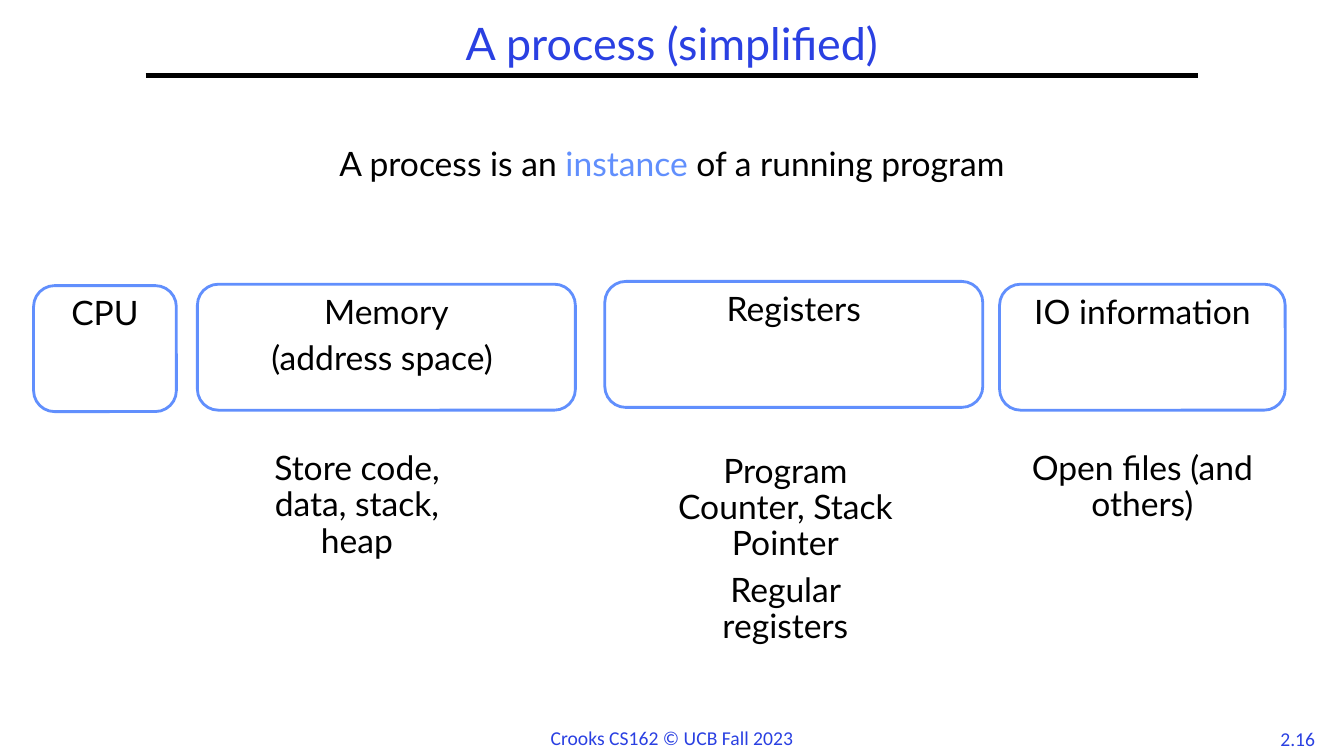
from dataclasses import dataclass

import pptx
import pptx.dml.color
import pptx.enum.shapes
import pptx.enum.text
import pptx.oxml
import pptx.oxml.ns
import pptx.util

Pt = pptx.util.Pt
Color = pptx.dml.color.RGBColor
Align = pptx.enum.text.PP_ALIGN
Anchor = pptx.enum.text.MSO_ANCHOR


@dataclass(frozen=True)
class Theme:
    title_color: Color = Color.from_string("2A40E2")
    accent: Color = Color.from_string("618FFD")
    ink: Color = Color.from_string("000000")
    paper: Color = Color.from_string("FFFFFF")
    body_font: str = "Lato"
    footer_font: str = "Calibri"
    title_size: int = 32
    body_size: int = 24
    footer_size: int = 14
    line_spacing: float = 0.9
    paragraph_gap: float = 7.2


THEME = Theme()

COMPONENTS = [
    ("Memory\n(address space) ", (141, 203, 270, 90),
     "Store code, data, stack, heap", (162, 319, 186, 102)),
    ("CPU", (24, 204, 102, 90), None, None),
    ("Registers", (432, 201, 270, 90),
     "Program Counter, Stack Pointer\nRegular registers", (468, 321, 186, 102)),
    ("IO information", (714, 203, 204, 90),
     "Open files (and others)", (723, 319, 186, 102)),
]


def style_run(run, size, color, font):
    run.font.size = Pt(size)
    run.font.color.rgb = color
    run.font.name = font


def write_text(shape, text, size=THEME.body_size, color=THEME.ink,
               font=THEME.body_font, anchor=Anchor.TOP, wrap=True,
               spacing=THEME.line_spacing):
    frame = shape.text_frame
    frame.word_wrap = wrap
    frame.vertical_anchor = anchor
    frame.text = text
    for index, paragraph in enumerate(frame.paragraphs):
        paragraph.alignment = Align.CENTER
        paragraph.line_spacing = spacing
        if index:
            paragraph.space_before = Pt(THEME.paragraph_gap)
        for run in paragraph.runs:
            style_run(run, size, color, font)


def add_text(slide, box, text, **style):
    shape = slide.shapes.add_textbox(*map(Pt, box))
    write_text(shape, text, **style)
    return shape


def add_header(slide, box, title):
    left, top, width, height = box
    add_text(slide, box, title, size=THEME.title_size,
             color=THEME.title_color, anchor=Anchor.MIDDLE)
    rule = slide.shapes.add_connector(
        pptx.enum.shapes.MSO_CONNECTOR.STRAIGHT,
        Pt(left), Pt(top + height), Pt(left + width), Pt(top + height))
    rule.line.color.rgb = THEME.ink
    rule.line.width = Pt(3)
    rule._element.spPr.append(pptx.oxml.parse_xml(
        "<a:effectLst %s/>" % pptx.oxml.ns.nsdecls("a")))


def add_definition(slide, box, pieces):
    shape = add_text(slide, box, "")
    paragraph = shape.text_frame.paragraphs[0]
    for text, color in pieces:
        run = paragraph.add_run()
        run.text = text
        style_run(run, THEME.body_size, color, THEME.body_font)


def add_component(slide, box, label):
    shape = slide.shapes.add_shape(
        pptx.enum.shapes.MSO_SHAPE.ROUNDED_RECTANGLE, *map(Pt, box))
    shape.shadow.inherit = False
    shape.fill.solid()
    shape.fill.fore_color.rgb = THEME.paper
    shape.line.color.rgb = THEME.accent
    shape.line.width = Pt(2)
    write_text(shape, label)


def add_footer(slide, box, credit, number):
    left, top, width, height = box
    style = dict(size=THEME.footer_size, color=THEME.title_color,
                 font=THEME.footer_font, wrap=False, spacing=1.0)
    credit_width, number_width = 190, 42
    add_text(slide, (left + (width - credit_width) / 2, top, credit_width, height),
             credit, **style)
    add_text(slide, (left + width - number_width, top + 0.5, number_width, height),
             number, **style)


def build_slide(presentation):
    slide = presentation.slides.add_slide(presentation.slide_layouts[6])
    add_footer(slide, (12, 515, 936, 24), "Crooks CS162 © UCB Fall 2023", "2.16")
    add_header(slide, (104, 12, 752, 42), "A process (simplified)")
    add_definition(slide, (111, 102, 738, 36), [
        ("A process is an ", THEME.ink),
        ("instance", THEME.accent),
        (" of a running program", THEME.ink),
    ])
    for label, label_box, detail, detail_box in COMPONENTS:
        add_component(slide, label_box, label)
        if detail:
            add_text(slide, detail_box, detail)


def main():
    presentation = pptx.Presentation()
    presentation.slide_width = Pt(960)
    presentation.slide_height = Pt(540)
    build_slide(presentation)
    presentation.save("out.pptx")


if __name__ == "__main__":
    main()
